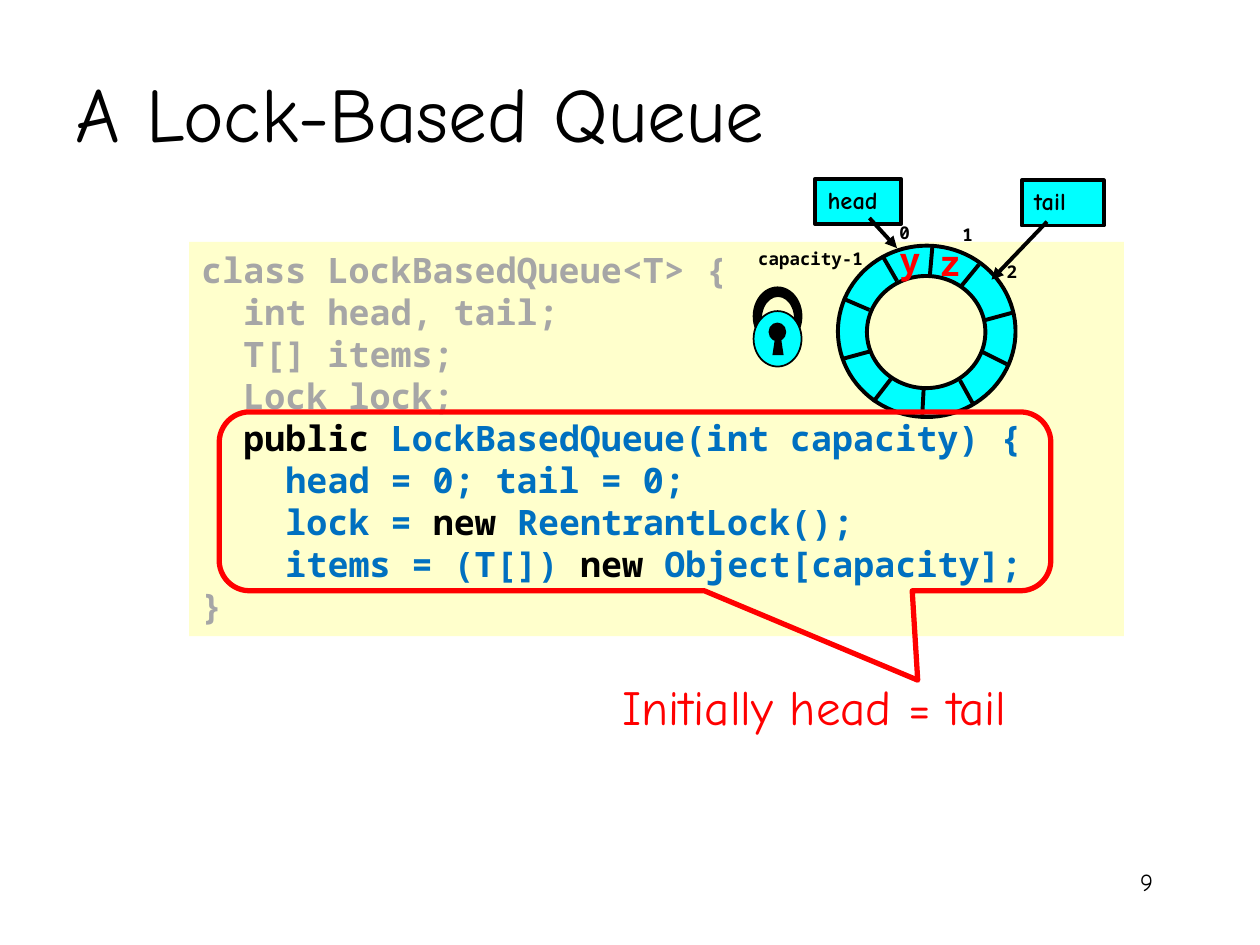
import pptx
import pptx.util
import pptx.dml.color
import pptx.enum.shapes
import pptx.enum.text
import pptx.oxml
import pptx.oxml.ns
from dataclasses import dataclass
from typing import NamedTuple

Pt = pptx.util.Pt
Shape = pptx.enum.shapes.MSO_SHAPE
Align = pptx.enum.text.PP_ALIGN
Anchor = pptx.enum.text.MSO_ANCHOR


@dataclass(frozen=True)
class Theme:
    black: str = "000000"
    red: str = "FF0000"
    blue: str = "0070C0"
    gray: str = "A6A6A6"
    cyan: str = "00FFFF"
    cream: str = "FFFFCC"
    hand: str = "Comic Neue"
    mono: str = "Noto Sans Mono"
    title: float = 44
    note: float = 28
    code: float = 20
    small: float = 14
    tiny: float = 10
    edge: float = 2.25


class Box(NamedTuple):
    left: float
    top: float
    width: float
    height: float


class Line(NamedTuple):
    x1: float
    y1: float
    x2: float
    y2: float


class Label(NamedTuple):
    text: str
    box: Box
    form: dict


T = Theme()


def color(code: str):
    return pptx.dml.color.RGBColor.from_string(code)


def style(font, form: dict) -> None:
    for key, value in form.items():
        if key == "color":
            font.color.rgb = color(value)
        else:
            setattr(font, key, Pt(value) if key == "size" else value)


def write(frame, lines: list, form: dict, align=Align.LEFT, wrap=True,
          anchor=Anchor.TOP) -> None:
    """Each line is a list of (text, color) runs."""
    frame.word_wrap = wrap
    frame.vertical_anchor = anchor
    for i, line in enumerate(lines):
        para = frame.add_paragraph() if i else frame.paragraphs[0]
        para.alignment = align
        for text, tint in line:
            run = para.add_run()
            run.text = text
            style(run.font, {**form, "color": tint})


def put_text(slide, label: Label, tint: str, **opts) -> None:
    item = slide.shapes.add_textbox(*map(Pt, label.box))
    write(item.text_frame, [[(label.text, tint)]], label.form, **opts)


def paint(item, fill=None, line=None, width: float = 1) -> None:
    item.shadow.inherit = False
    if fill:
        item.fill.solid()
        item.fill.fore_color.rgb = color(fill)
    else:
        item.fill.background()
    if line:
        item.line.color.rgb = color(line)
        item.line.width = Pt(width)
    else:
        item.line.fill.background()


def put_shape(slide, kind, box: Box, fill=None, line=None, width: float = 1):
    item = slide.shapes.add_shape(kind, *map(Pt, box))
    paint(item, fill, line, width)
    return item


def put_line(slide, line: Line, arrow: bool = False) -> None:
    item = slide.shapes.add_connector(
        pptx.enum.shapes.MSO_CONNECTOR.STRAIGHT, *map(Pt, line))
    item.line.color.rgb = color(T.black)
    item.line.width = Pt(T.edge)
    if arrow:
        end = pptx.oxml.parse_xml(
            f'<a:tailEnd {pptx.oxml.ns.nsdecls("a")} type="triangle"/>')
        item.line._get_or_add_ln().append(end)
    item._element.spPr.append(pptx.oxml.parse_xml(
        f'<a:effectLst {pptx.oxml.ns.nsdecls("a")}/>'))


CODE = {"name": T.mono, "size": T.code, "bold": True}
TINY = {**CODE, "size": T.tiny}
HAND = {"name": T.hand, "size": T.small}

SOURCE = [
    [("class LockBasedQueue<T> {", T.gray)],
    [("  int head, tail;", T.gray)],
    [("  T[] items;", T.gray)],
    [("  Lock lock;", T.gray)],
    [("  public ", T.black), ("LockBasedQueue(int capacity) {", T.blue)],
    [("    head = 0; tail = 0;", T.blue)],
    [("    lock = ", T.blue), ("new ", T.black), ("ReentrantLock();", T.blue)],
    [("    items = (T[]) ", T.blue), ("new", T.black),
     (" Object[capacity];", T.blue)],
    [("}", T.gray)],
]
SPOKES = [
    Line(499, 229.7, 509, 216.7), Line(549.4, 163.4, 559.4, 151.2),
    Line(563, 182.9, 578.9, 178.6), Line(481, 205.2, 496.8, 200.9),
    Line(481.7, 170.6, 496.8, 177.1), Line(560.9, 200.9, 575.3, 208.1),
    Line(504.7, 146.9, 512.6, 160.6), Line(532.8, 141.1, 531.4, 157),
    Line(548.6, 217.4, 555.8, 230.4), Line(527.8, 222.5, 527, 237.6),
]
MARKS = [
    Label("0", Box(506.9, 123.1, 20.2, 19.4), TINY),
    Label("1", Box(542.9, 124.6, 20.2, 19.4), TINY),
    Label("capacity-1", Box(426.2, 138.2, 74.9, 19.4), TINY),
    Label("2", Box(568.1, 145.4, 20.2, 19.4), TINY),
]
ITEMS = [
    Label("y", Box(506.9, 132.5, 26.6, 31), CODE),
    Label("z", Box(529.9, 134.6, 26.6, 31), CODE),
]
ENDS = [
    (Label("head", Box(465.8, 102.2, 49, 25.9), {**HAND, "bold": True}),
     Line(496.8, 124.6, 512.6, 141.8)),
    (Label("tail", Box(583.9, 103, 46.8, 25.9), {**HAND, "bold": True}),
     Line(598.3, 126.7, 566.6, 159.8)),
]


def draw_ring(slide) -> None:
    for box, fill in ((Box(478.8, 140.4, 101.5, 97.9), T.cyan),
                      (Box(495.4, 157.7, 67.7, 64.1), T.cream)):
        put_shape(slide, Shape.OVAL, box, fill, T.black, T.edge)
    for spoke in SPOKES:
        put_line(slide, spoke)
    for mark in MARKS:
        put_text(slide, mark, T.black, wrap=False)
    for label, arrow in ENDS:
        item = put_shape(slide, Shape.RECTANGLE, label.box, T.cyan,
                         T.black, T.edge)
        write(item.text_frame, [[(label.text, T.black)]], label.form,
              wrap=False)
        put_line(slide, arrow, arrow=True)
    for label in ITEMS:
        put_text(slide, label, T.red, wrap=False)


def draw_lock(slide) -> None:
    for box, fill in ((Box(430.6, 164.2, 27.4, 33.1), T.black),
                      (Box(434.9, 169.2, 19.4, 25.9), T.cream),
                      (Box(430.6, 177.8, 27.4, 31.7), T.cyan)):
        put_shape(slide, Shape.OVAL, box, fill, T.black)
    # Keyhole
    put_shape(slide, Shape.OVAL, Box(439.2, 184.3, 10.1, 10.8), T.black)
    path = slide.shapes.build_freeform(Pt(441.4), Pt(203))
    path.add_line_segments([(Pt(x), Pt(y)) for x, y in
                            ((442.8, 193.7), (446.4, 193.7), (447.8, 203))])
    paint(path.convert_to_shape(), T.black)


def main() -> None:
    deck = pptx.Presentation()
    deck.slide_width, deck.slide_height = Pt(720), Pt(540)
    slide = deck.slides.add_slide(deck.slide_layouts[5])

    # Title and page number
    title = slide.shapes.title
    spot = Box(36, 18.7, 591.1, 90.7)
    for key, value in spot._asdict().items():
        setattr(title, key, Pt(value))
    write(title.text_frame, [[("A Lock-Based Queue", T.black)]],
          {**HAND, "size": T.title}, anchor=Anchor.MIDDLE)
    put_text(slide, Label("9", Box(516.2, 491.8, 149.8, 36), HAND), T.black,
             align=Align.RIGHT)

    # Code panel
    panel = put_shape(slide, Shape.RECTANGLE, Box(108, 138.2, 534.2, 225.4),
                      T.cream)
    write(panel.text_frame, SOURCE, CODE)

    # Queue picture
    draw_ring(slide)
    draw_lock(slide)

    # Callout and its note
    call = put_shape(slide, Shape.ROUNDED_RECTANGULAR_CALLOUT,
                     Box(125.3, 235.4, 475.2, 102.2), None, T.red, 3)
    for i, value in enumerate((0.34, 1, 0.17)):
        call.adjustments[i] = value
    put_text(slide, Label("Initially head = tail", Box(331.9, 383, 267.1, 41),
                          {**HAND, "size": T.note}), T.red,
             align=Align.CENTER)
    deck.save("out.pptx")


if __name__ == "__main__":
    main()
